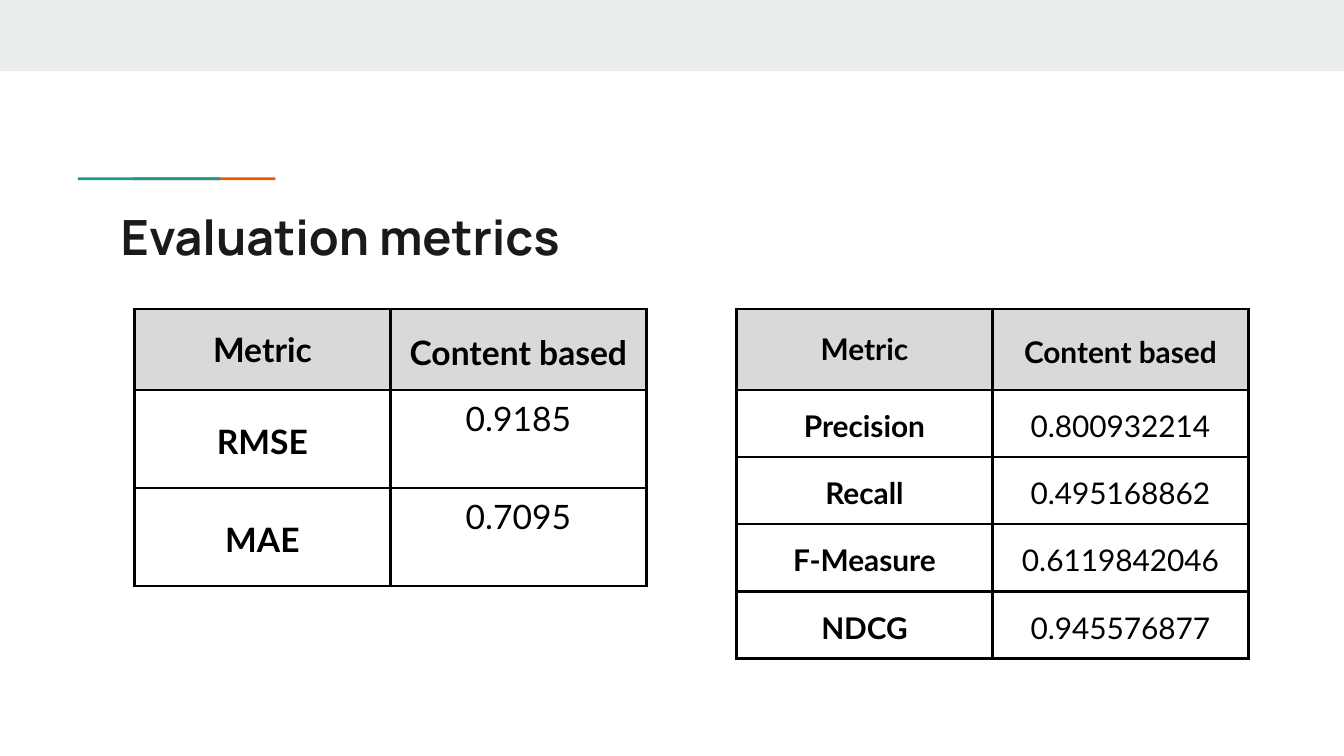
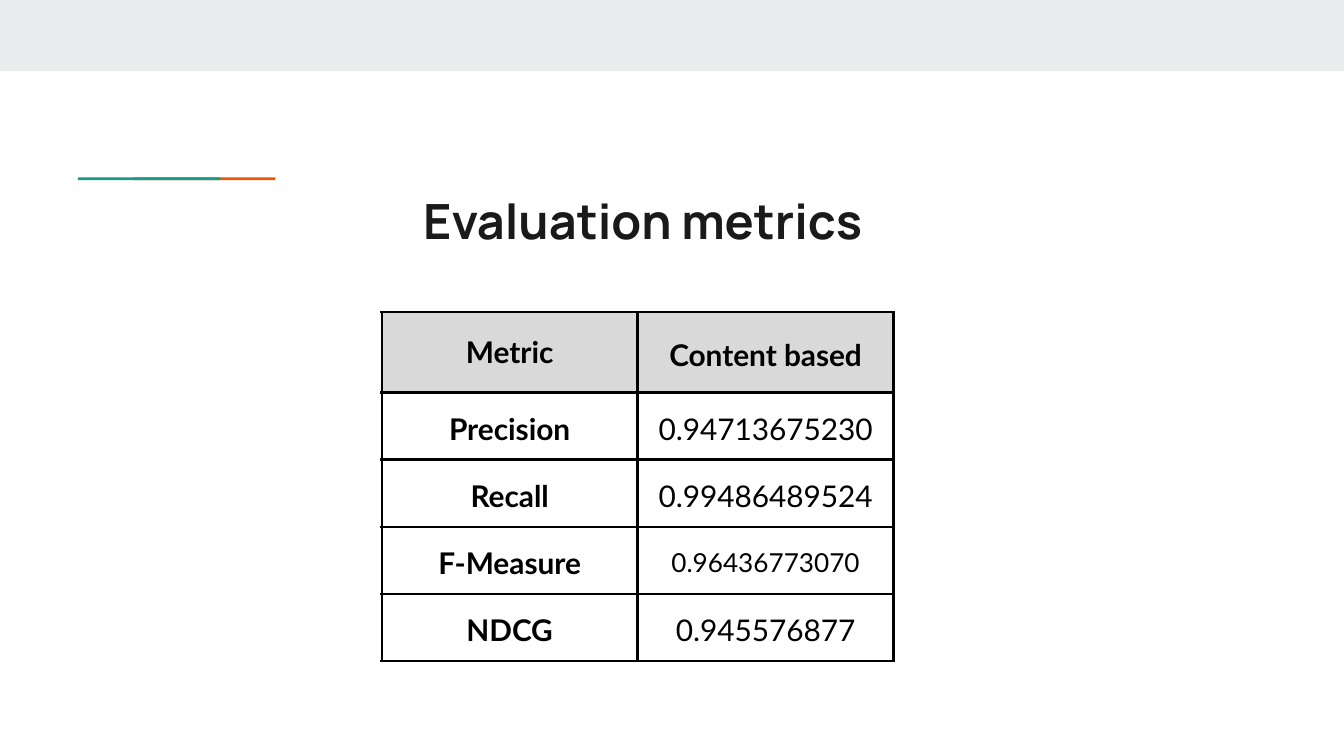
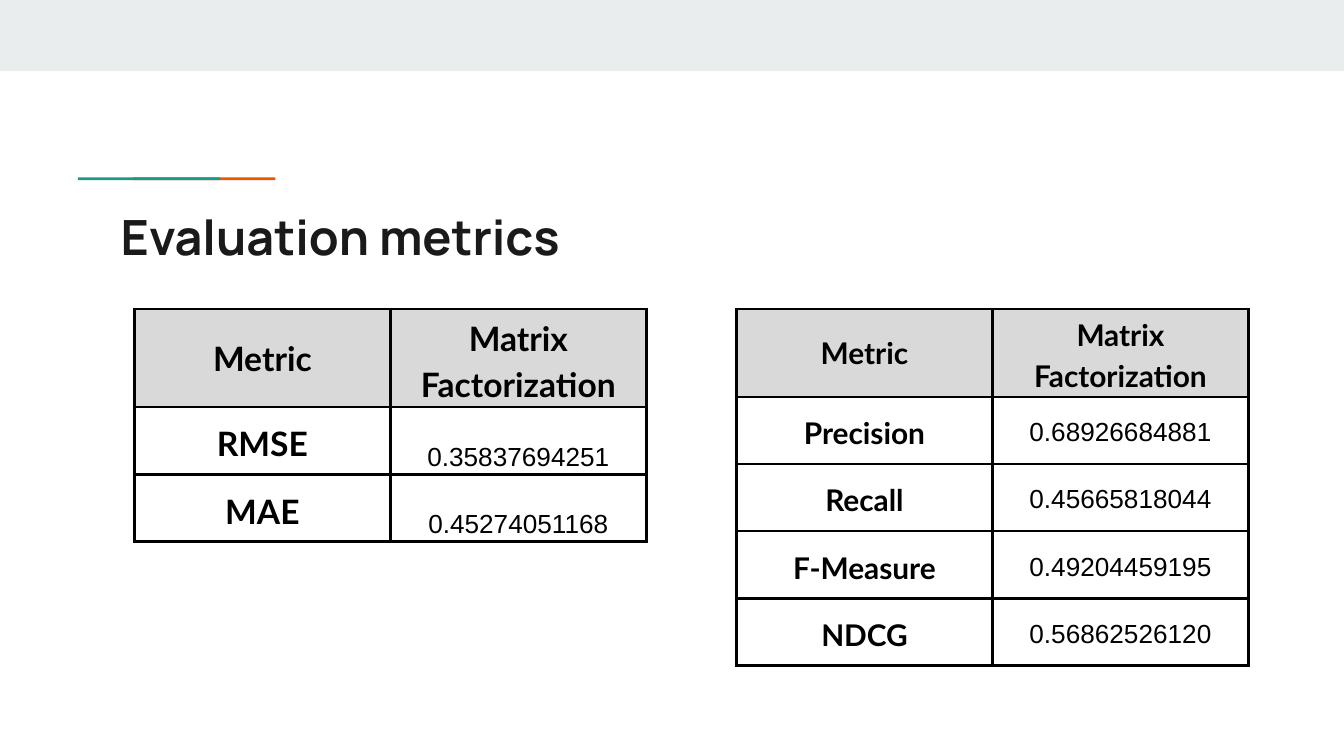
from lxml import etree
from pptx import Presentation
from pptx.dml.color import RGBColor
from pptx.enum.shapes import MSO_SHAPE
from pptx.enum.text import MSO_ANCHOR, PP_ALIGN
from pptx.oxml.ns import qn
from pptx.util import Inches, Pt

RECT = MSO_SHAPE.RECTANGLE
TOP, MIDDLE, BOTTOM = MSO_ANCHOR.TOP, MSO_ANCHOR.MIDDLE, MSO_ANCHOR.BOTTOM
CENTER = PP_ALIGN.CENTER

BAND, ORANGE, TEAL = "E9EDEE", "EB5600", "1A9988"
INK, BLACK, HEADER_FILL = "1A1A1A", "000000", "D9D9D9"
TITLE_FONT, BODY_FONT, PLAIN_FONT = "Manrope", "Lato", "Arial"

TABLE_W = 3.81
ROW_H = 0.5
TITLE_BOX = (0.8, 1.44, 8.41, 0.59)
LEFT_TABLE = (1, 2.3)
RIGHT_TABLE = (5.48, 2.3)
ERROR_NAMES = ("RMSE", "MAE")
RANKING_NAMES = ("Precision", "Recall", "F-Measure", "NDCG")


def rgb(value):
    return RGBColor.from_string(value)


def style_run(r, size, font, color, bold):
    r.font.size = Pt(size)
    r.font.name = font
    r.font.color.rgb = rgb(color)
    r.font.bold = bold


def add_bar(slide, box, color):
    sp = slide.shapes.add_shape(RECT, *map(Inches, box))
    sp.shadow.inherit = False
    sp.fill.solid()
    sp.fill.fore_color.rgb = rgb(color)
    sp.line.fill.background()


def add_title(slide, box, text):
    tf = slide.shapes.add_textbox(*map(Inches, box)).text_frame
    tf.word_wrap = True
    tf.margin_left = tf.margin_right = Inches(0.1)
    tf.margin_top = tf.margin_bottom = Inches(0.1)
    tf.text = text
    style_run(tf.paragraphs[0].runs[0], 26, TITLE_FONT, INK, True)


def add_metric_slide(prs, title_box=TITLE_BOX):
    slide = prs.slides.add_slide(prs.slide_layouts[6])
    add_bar(slide, (0, 0, 10, 0.53), BAND)
    add_bar(slide, (0.99, 1.32, 1.06, 0.02), ORANGE)
    add_bar(slide, (0.58, 1.32, 1.06, 0.02), TEAL)
    add_title(slide, title_box, "Evaluation metrics")
    return slide


def add_borders(cell):
    tcPr = cell._tc.get_or_add_tcPr()
    for side in ("lnL", "lnR", "lnT", "lnB"):
        ln = etree.SubElement(tcPr, qn(f"a:{side}"), w=str(Pt(1.5)))
        fill = etree.SubElement(ln, qn("a:solidFill"))
        etree.SubElement(fill, qn("a:srgbClr"), val=BLACK)


def fill_cell(cell, text, size, font=BODY_FONT, bold=True, anchor=MIDDLE,
              spacing=1.15, fill=None):
    add_borders(cell)
    if fill:
        cell.fill.solid()
        cell.fill.fore_color.rgb = rgb(fill)
    else:
        cell.fill.background()
    cell.margin_left = cell.margin_right = Inches(0.03)
    cell.margin_top = cell.margin_bottom = Inches(0.02)
    cell.vertical_anchor = anchor
    cell.text_frame.text = text
    for p in cell.text_frame.paragraphs:
        p.alignment = CENTER
        if spacing:
            p.line_spacing = spacing
        style_run(p.runs[0], size, font, BLACK, bold)


def add_metric_table(slide, at, method, names, values, size=16, header_h=0.6,
                     row_h=ROW_H, value_font=BODY_FONT, value_sizes=None,
                     value_anchor=MIDDLE):
    value_sizes = value_sizes or [size] * len(values)
    height = header_h + row_h * len(names)
    box = (*at, TABLE_W, height)
    table = slide.shapes.add_table(len(names) + 1, 2, *map(Inches, box)).table
    table.first_row = table.horz_banding = False
    for col in table.columns:
        col.width = Inches(TABLE_W / 2)
    for i, row in enumerate(table.rows):
        row.height = Inches(row_h if i else header_h)
    fill_cell(table.cell(0, 0), "Metric", size, spacing=None, fill=HEADER_FILL)
    fill_cell(table.cell(0, 1), method, size, fill=HEADER_FILL)
    for i, (name, value, value_size) in enumerate(zip(names, values, value_sizes), 1):
        fill_cell(table.cell(i, 0), name, size)
        fill_cell(table.cell(i, 1), value, value_size, value_font, False, value_anchor)


def build_content_errors(prs):
    slide = add_metric_slide(prs)
    add_metric_table(slide, RIGHT_TABLE, "Content based", RANKING_NAMES,
                     ("0.800932214", "0.495168862", "0.6119842046", "0.945576877"))
    add_metric_table(slide, LEFT_TABLE, "Content based", ERROR_NAMES,
                     ("0.9185", "0.7095"), size=18, row_h=0.73, value_anchor=TOP)


def build_content_ranking(prs):
    slide = add_metric_slide(prs, (3.05, 1.32, 8.41, 0.59))
    add_metric_table(slide, (2.84, 2.32), "Content based", RANKING_NAMES,
                     ("0.94713675230", "0.99486489524", "0.96436773070", "0.945576877"),
                     value_sizes=(16, 16, 14, 16))


def build_matrix_factorization(prs):
    slide = add_metric_slide(prs)
    add_metric_table(slide, RIGHT_TABLE, "Matrix Factorization", RANKING_NAMES,
                     ("0.68926684881", "0.45665818044", "0.49204459195", "0.56862526120"),
                     header_h=0.65, value_font=PLAIN_FONT, value_sizes=[14] * 4)
    add_metric_table(slide, LEFT_TABLE, "Matrix\nFactorization", ERROR_NAMES,
                     ("0.35837694251", "0.45274051168"), size=18, header_h=0.73,
                     value_font=PLAIN_FONT, value_sizes=[14] * 2, value_anchor=BOTTOM)


def main():
    prs = Presentation()
    prs.slide_width = Inches(10)
    prs.slide_height = prs.slide_width * 9 // 16
    build_content_errors(prs)
    build_content_ranking(prs)
    build_matrix_factorization(prs)
    prs.save("out.pptx")


if __name__ == "__main__":
    main()
